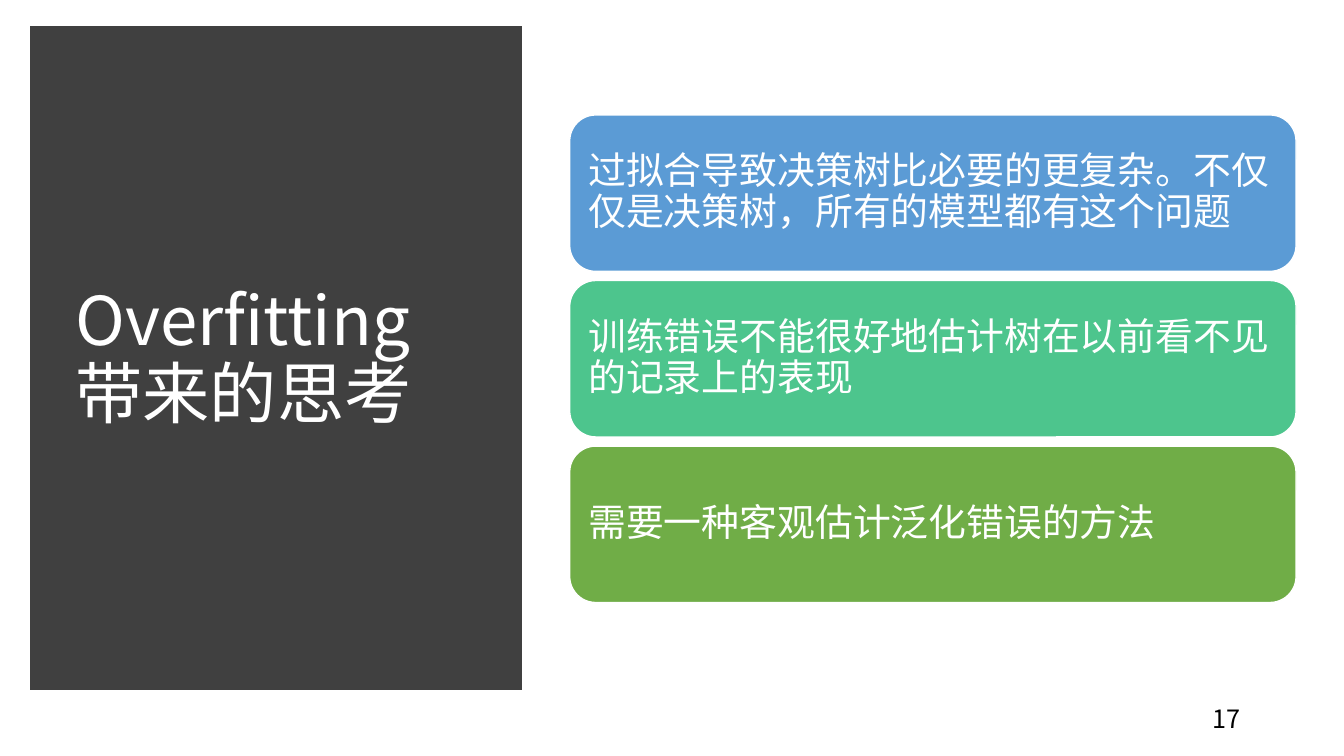
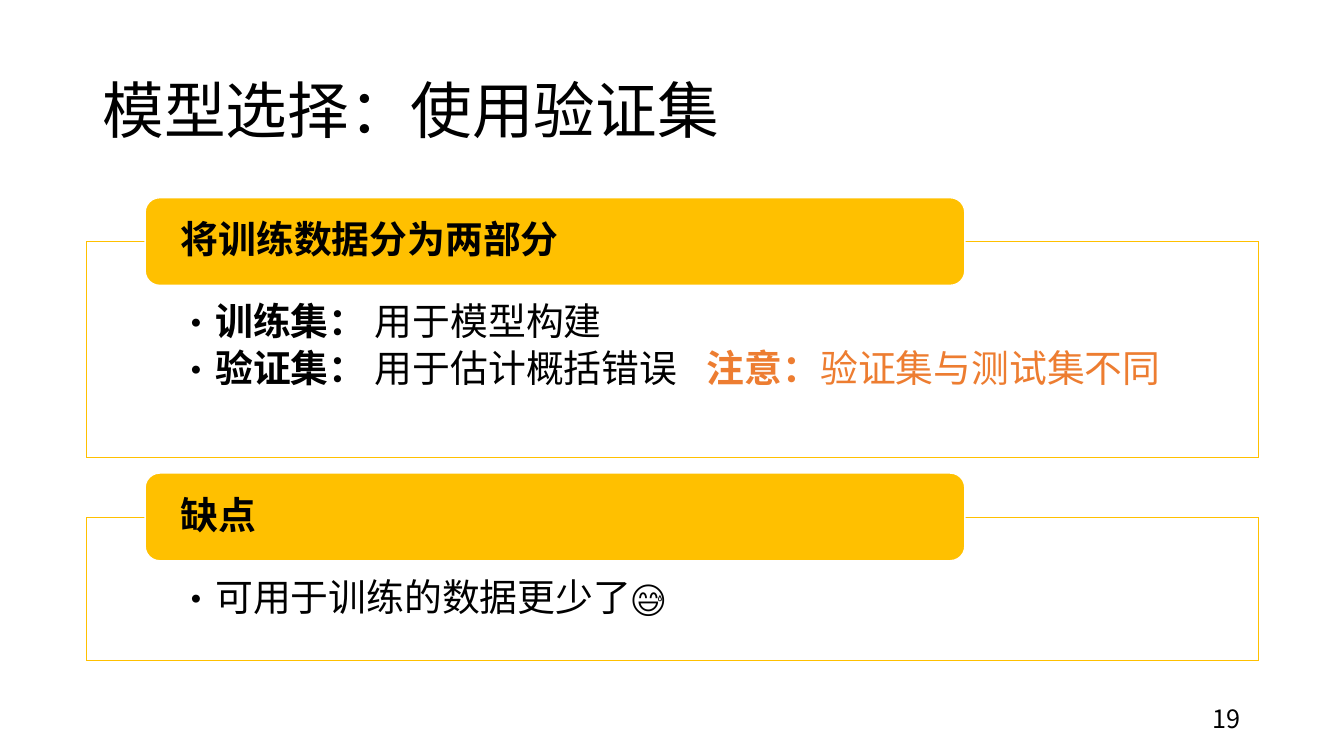
from lxml import etree
from pptx import Presentation
from pptx.dml.color import RGBColor
from pptx.enum.shapes import MSO_SHAPE
from pptx.enum.text import MSO_ANCHOR, PP_ALIGN
from pptx.oxml.ns import qn
from pptx.util import Inches, Pt

RECTANGLE = MSO_SHAPE.RECTANGLE
ROUNDED = MSO_SHAPE.ROUNDED_RECTANGLE
TOP = MSO_ANCHOR.TOP
MIDDLE = MSO_ANCHOR.MIDDLE
LEFT = PP_ALIGN.LEFT
RIGHT = PP_ALIGN.RIGHT

FONT = "Noto Sans CJK SC"
WHITE, BLACK, CHARCOAL = "FFFFFF", "000000", "404040"
BLUE, TEAL, GREEN = "5B9BD5", "4DC58D", "70AD47"
AMBER, ORANGE = "FFC000", "ED7D31"

BODY_SIZE = 27
TAB_WIDTH = Pt(3.5 * BODY_SIZE)
PLAIN_MARGINS = (0.1, 0.05, 0.1, 0.05)
CARD_MARGINS = (0.11, 0.11, 0.11, 0.11)
HEADER_MARGINS = (0.31, 0, 0.31, 0)
PANEL_MARGINS = (0.9, 0.61, 0.9, 0.21)

presentation = Presentation()
presentation.slide_width = Inches(13.33)
presentation.slide_height = Inches(7.5)
COLUMN = presentation.slide_width / 100
ROW = presentation.slide_height / 100


def add_block(slide, place, kind=None, fill=None, line=None, line_width=1):
    left, top, width, height = place
    box = [round(left * COLUMN), round(top * ROW), round(width * COLUMN), round(height * ROW)]
    if kind is None:
        return slide.shapes.add_textbox(*box)
    shape = slide.shapes.add_shape(kind, *box)
    shape.shadow.inherit = False
    shape.fill.solid()
    shape.fill.fore_color.rgb = RGBColor.from_string(fill)
    shape.line.color.rgb = RGBColor.from_string(line)
    shape.line.width = Pt(line_width)
    etree.SubElement(shape._element.spPr.find(qn("a:ln")), qn("a:miter"), lim="800000")
    return shape


def write_text(shape, paragraphs, size=BODY_SIZE, margins=PLAIN_MARGINS,
               anchor=MIDDLE, align=LEFT, bullet=False):
    frame = shape.text_frame
    left, top, right, bottom = map(Inches, margins)
    frame_format = {
        "word_wrap": True, "vertical_anchor": anchor, "margin_left": left,
        "margin_top": top, "margin_right": right, "margin_bottom": bottom,
    }
    for name, value in frame_format.items():
        setattr(frame, name, value)
    for index, runs in enumerate(paragraphs):
        paragraph = frame.add_paragraph() if index else frame.paragraphs[0]
        paragraph_format = {"alignment": align, "line_spacing": 0.9}
        if bullet:
            paragraph_format.update(level=1, space_after=Pt(4))
        for name, value in paragraph_format.items():
            setattr(paragraph, name, value)
        if bullet:
            properties = paragraph._p.get_or_add_pPr()
            indents = {"marL": Inches(0.25), "indent": -Inches(0.25), "defTabSz": TAB_WIDTH}
            for name, value in indents.items():
                properties.set(name, str(int(value)))
            etree.SubElement(properties, qn("a:buFont"), typeface=FONT)
            etree.SubElement(properties, qn("a:buChar"), char="•")
        for text, color, bold in runs:
            run = paragraph.add_run()
            run.text = text
            for name, value in {"name": FONT, "size": Pt(size), "bold": bold}.items():
                setattr(run.font, name, value)
            run.font.color.rgb = RGBColor.from_string(color)
            etree.SubElement(run._r.get_or_add_rPr(), qn("a:ea"), typeface=FONT)


blank_layout = presentation.slide_layouts[6]
thinking_slide, validation_slide = [presentation.slides.add_slide(blank_layout) for _ in range(2)]

add_block(thinking_slide, (2.78, 4.4, 35.56, 86), RECTANGLE, CHARCOAL, CHARCOAL, 10)

titles = [
    (thinking_slide, (4.88, 9.33, 30.8, 76.67), "Overfitting带来的思考", 48, WHITE),
    (validation_slide, (6.9, 5.33, 86.27, 19.33), "模型选择：使用验证集", 44, BLACK),
]
for slide, place, text, size, color in titles:
    write_text(add_block(slide, place), [[(text, color, False)]], size)

cards = [
    ("过拟合导致决策树比必要的更复杂。不仅仅是决策树，所有的模型都有这个问题", BLUE),
    ("训练错误不能很好地估计树在以前看不见的记录上的表现", TEAL),
    ("需要一种客观估计泛化错误的方法", GREEN),
]
CARD_HEIGHT, CARD_GAP = 20.7, 1.2
for index, (text, color) in enumerate(cards):
    card_top = 15.2 + index * (CARD_HEIGHT + CARD_GAP)
    card = add_block(thinking_slide, (42.39, card_top, 54.05, CARD_HEIGHT), ROUNDED, color, WHITE)
    write_text(card, [[(text, WHITE, False)]], margins=CARD_MARGINS)

sections = [
    ("将训练数据分为两部分", 28.53, [
        [("训练集：", BLACK, True), (" 用于模型构建", BLACK, False)],
        [("验证集：", BLACK, True), (" 用于估计概括错误\t", BLACK, False),
         ("注意：", ORANGE, True), ("验证集与测试集不同", ORANGE, False)],
    ]),
    ("缺点", 18.93, [[("可用于训练的数据更少了😅", BLACK, False)]]),
]
HEADER_HEIGHT, PANEL_GAP = 11.6, 7.9
panel_top = 31.95
for heading, panel_height, points in sections:
    panel_place = (6.45, panel_top, 87.15, panel_height)
    panel = add_block(validation_slide, panel_place, RECTANGLE, WHITE, AMBER, 0.5)
    panel_color = panel._element.spPr.find(qn("a:solidFill")).find(qn("a:srgbClr"))
    etree.SubElement(panel_color, qn("a:alpha"), val="90000")
    write_text(panel, points, margins=PANEL_MARGINS, anchor=TOP, bullet=True)
    header_place = (10.8, panel_top - HEADER_HEIGHT / 2, 60.99, HEADER_HEIGHT)
    header = add_block(validation_slide, header_place, ROUNDED, AMBER, WHITE)
    write_text(header, [[(heading, BLACK, True)]], margins=HEADER_MARGINS)
    panel_top += panel_height + PANEL_GAP

for slide, number in [(thinking_slide, "17"), (validation_slide, "19")]:
    page_number = add_block(slide, (70.67, 92.67, 22.4, 5.33))
    write_text(page_number, [[(number, BLACK, False)]], 18, align=RIGHT)

presentation.save("out.pptx")
